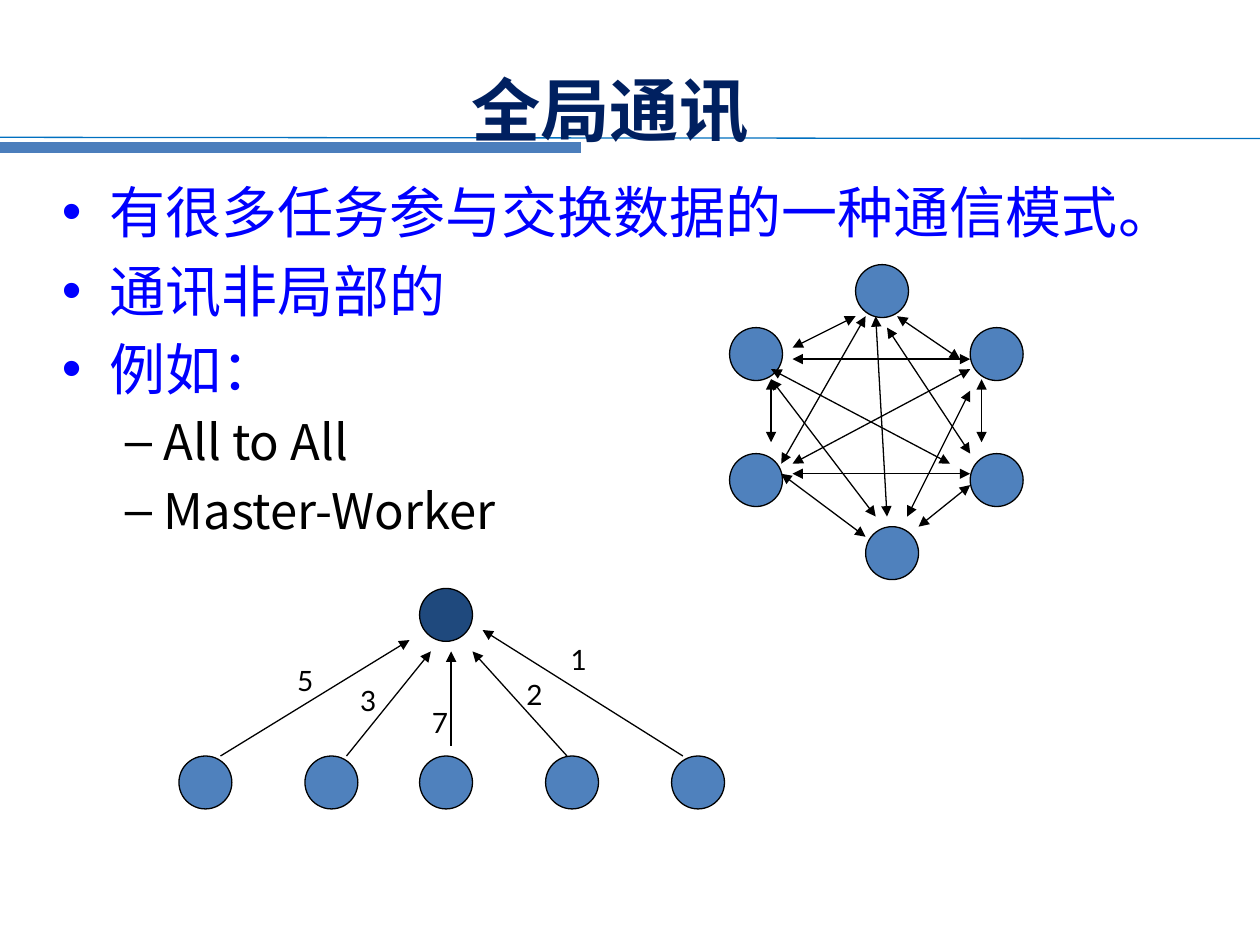
from lxml.etree import SubElement
from pptx import Presentation
from pptx.dml.color import RGBColor
from pptx.enum.shapes import MSO_CONNECTOR, MSO_SHAPE
from pptx.enum.text import MSO_ANCHOR, MSO_AUTO_SIZE, PP_ALIGN
from pptx.oxml.ns import qn
from pptx.util import Inches, Pt

BLACK = RGBColor(0x00, 0x00, 0x00)
NAVY = RGBColor(0x00, 0x20, 0x60)
BLUE_TEXT = RGBColor(0x00, 0x00, 0xFF)
THIN_RULE = RGBColor(0x00, 0x70, 0xC0)
THICK_RULE = RGBColor(0x4B, 0x7E, 0xBC)
NODE_BLUE = RGBColor(0x4F, 0x81, 0xBD)
MASTER_BLUE = RGBColor(0x1F, 0x49, 0x7D)
CJK_FONT = "Noto Sans CJK JP"
LABEL_FONT = "Lato"
NODE_SIZE = 0.42

# Level: size, colour, left margin, hanging indent, bullet
LEVELS = [
    (32, BLUE_TEXT, 0.38, 0.38, "•"),
    (28, BLACK, 0.81, 0.31, "–"),
]
BODY_ITEMS = [
    ("有很多任务参与交换数据的一种通信模式。", 0),
    ("通讯非局部的", 0),
    ("例如：", 0),
    ("All to All", 1),
    ("Master-Worker", 1),
]

# All-to-all network: node corners and two-way links
NETWORK_NODES = [(5.79, 2.6), (5.79, 3.6), (6.87, 4.18),
                 (7.7, 3.6), (7.7, 2.6), (6.79, 2.1)]
NETWORK_LINKS = [
    ((6.2, 3.68), (6.87, 2.51)), ((6.29, 3.68), (7.7, 2.93)),
    ((6.29, 3.76), (7.7, 3.76)), ((6.2, 3.76), (6.87, 4.26)),
    ((6.12, 3.51), (6.12, 3.01)), ((6.29, 2.76), (6.79, 2.51)),
    ((6.29, 2.85), (7.7, 2.85)), ((6.12, 2.93), (7.54, 3.68)),
    ((6.12, 3.01), (6.95, 4.1)), ((7.12, 2.51), (7.62, 2.85)),
    ((7.04, 2.6), (7.7, 3.6)), ((6.95, 2.51), (7.04, 4.1)),
    ((7.79, 3.01), (7.79, 3.51)), ((7.7, 3.85), (7.29, 4.18)),
    ((7.7, 3.1), (7.2, 4.1)),
]

# Worker: node left, arrow start, arrow end, label, label corner
WORKERS = [
    (1.42, (1.75, 6), (3.25, 5.08), "5", (2.26, 5.22)),
    (2.42, (2.75, 6), (3.42, 5.17), "3", (2.76, 5.38)),
    (3.33, (3.58, 5.92), (3.58, 5.17), "7", (3.33, 5.55)),
    (4.33, (4.5, 6), (3.75, 5.17), "2", (4.08, 5.33)),
    (5.33, (5.42, 6), (3.83, 5), "1", (4.43, 5.05)),
]


def place(shape, left, top, width, height):
    shape.left, shape.top = Inches(left), Inches(top)
    shape.width, shape.height = Inches(width), Inches(height)


def set_font(para, name, size, color, bold=False):
    font = para.font
    font.name, font.size, font.bold = name, Pt(size), bold
    font.color.rgb = color
    # East Asian text needs its own typeface entry
    properties = para._p.get_or_add_pPr().find(qn("a:defRPr"))
    SubElement(properties, qn("a:ea")).set("typeface", name)
    for span in para.runs:
        span.font.name, span.font.size, span.font.bold = name, Pt(size), bold
        span.font.color.rgb = color
        SubElement(span._r.get_or_add_rPr(), qn("a:ea")).set("typeface", name)


def add_line(shapes, start, end, color=BLACK, width=0.75, ends=()):
    line = shapes.add_connector(MSO_CONNECTOR.STRAIGHT,
                                *(Inches(value) for value in (*start, *end)))
    line.line.color.rgb = color
    line.line.width = Pt(width)
    outline = line.line._get_or_add_ln()
    for end_name in ends:
        SubElement(outline, qn(f"a:{end_name}")).set("type", "triangle")
    SubElement(line._element.spPr, qn("a:effectLst"))
    return line


def add_node(shapes, left, top, fill=NODE_BLUE):
    node = shapes.add_shape(MSO_SHAPE.OVAL, Inches(left), Inches(top),
                            Inches(NODE_SIZE), Inches(NODE_SIZE))
    node.shadow.inherit = False
    node.fill.solid()
    node.fill.fore_color.rgb = fill
    node.line.color.rgb = BLACK
    node.line.width = Pt(0.75)


def add_label(shapes, text, left, top):
    box = shapes.add_textbox(Inches(left), Inches(top), Inches(0.32), Inches(0.37))
    frame = box.text_frame
    frame.word_wrap = False
    frame.auto_size = MSO_AUTO_SIZE.SHAPE_TO_FIT_TEXT
    frame.text = text
    set_font(frame.paragraphs[0], LABEL_FONT, 16, BLACK)


def add_rules(page):
    rules = [
        add_line(page.shapes, (0, 1.09), (10, 1.1), THIN_RULE),
        add_line(page.shapes, (0, 1.17), (4.61, 1.17), THICK_RULE, 6),
    ]
    # Keep the rules behind the title
    for index, rule in enumerate(rules, start=2):
        page.shapes._spTree.insert(index, rule._element)


def fill_title(title):
    place(title, 0.55, 0.55, 8.58, 0.63)
    frame = title.text_frame
    frame.text = "全局通讯"
    frame.auto_size = MSO_AUTO_SIZE.NONE
    frame.vertical_anchor = MSO_ANCHOR.MIDDLE
    para = frame.paragraphs[0]
    para.alignment = PP_ALIGN.CENTER
    set_font(para, CJK_FONT, 39.6, NAVY, bold=True)


def fill_body(body):
    place(body, 0.39, 1.36, 8.66, 5.2)
    frame = body.text_frame
    frame.text = "\n".join(text for text, _ in BODY_ITEMS)
    frame.auto_size = MSO_AUTO_SIZE.NONE
    for para, (_, level) in zip(frame.paragraphs, BODY_ITEMS):
        size, color, margin, hanging, bullet = LEVELS[level]
        para.level = level
        para.line_spacing = Pt(size * 1.2)
        para.space_before = Pt(size * 0.2)
        properties = para._p.get_or_add_pPr()
        properties.set("marL", str(Inches(margin)))
        properties.set("indent", str(-Inches(hanging)))
        SubElement(properties, qn("a:buChar")).set("char", bullet)
        set_font(para, CJK_FONT, size, color)


def add_network(page):
    shapes = page.shapes.add_group_shape().shapes
    for left, top in NETWORK_NODES:
        add_node(shapes, left, top)
    for start, end in NETWORK_LINKS:
        add_line(shapes, start, end, ends=("headEnd", "tailEnd"))


def add_master_worker(page):
    shapes = page.shapes.add_group_shape().shapes
    add_node(shapes, 3.33, 4.67, MASTER_BLUE)
    for left, start, end, text, corner in WORKERS:
        add_node(shapes, left, 6)
        add_line(shapes, start, end, ends=("tailEnd",))
        add_label(shapes, text, *corner)


def main():
    deck = Presentation()
    deck.slide_width, deck.slide_height = Inches(10), Inches(7.5)
    page = deck.slides.add_slide(deck.slide_layouts[1])
    add_rules(page)
    fill_title(page.shapes.title)
    fill_body(page.placeholders[1])
    add_network(page)
    add_master_worker(page)
    deck.save("out.pptx")


main()
